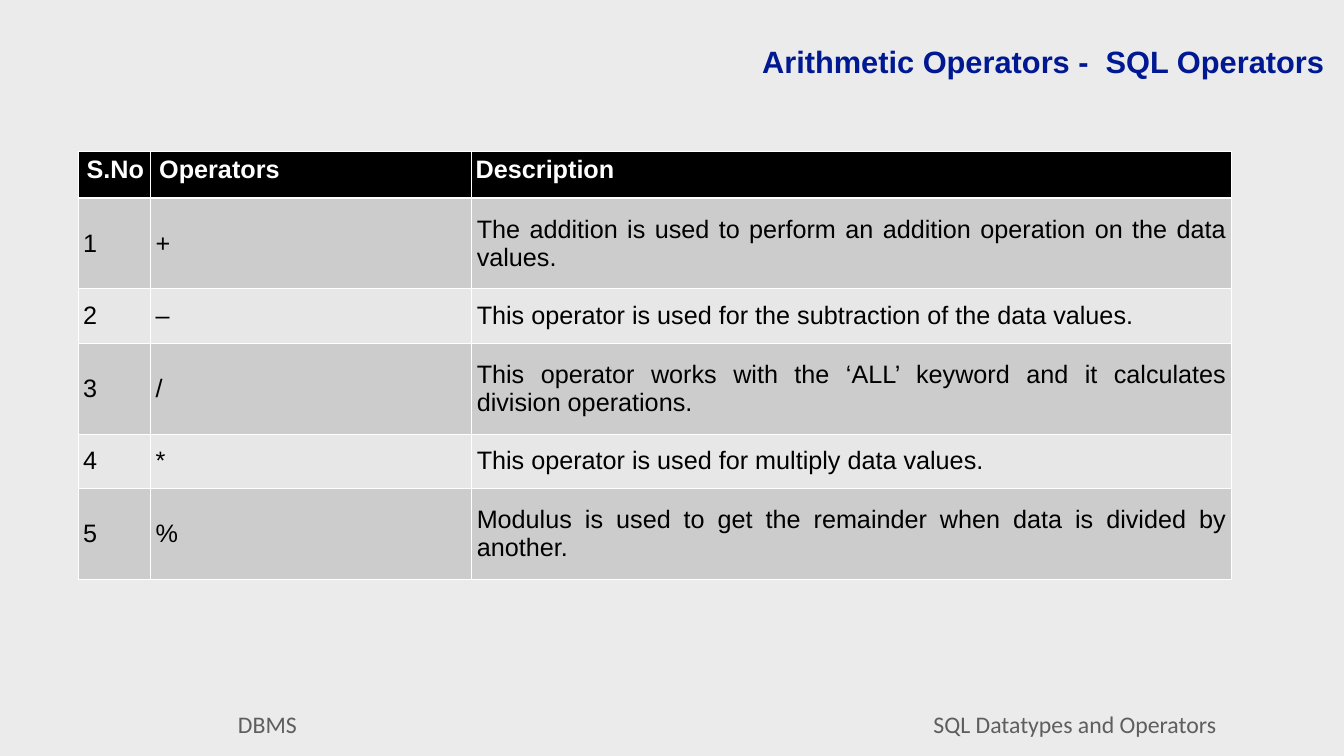
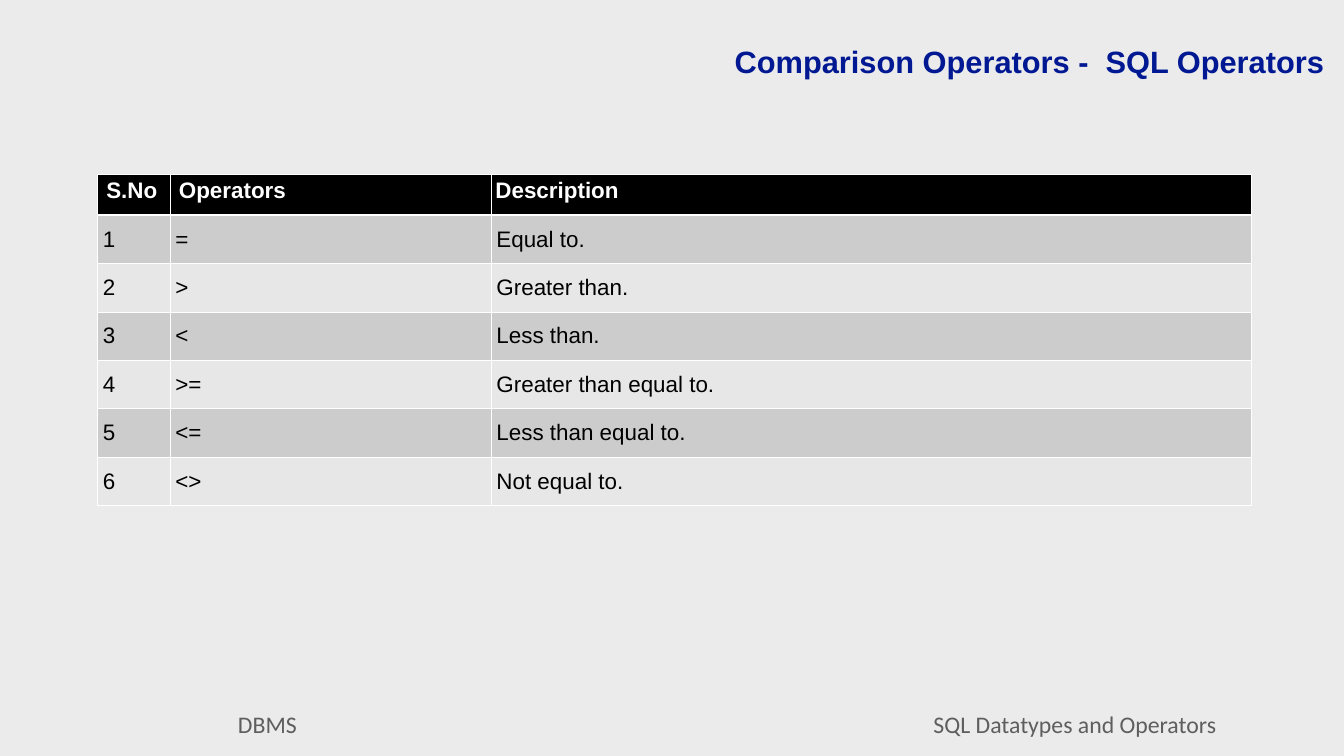
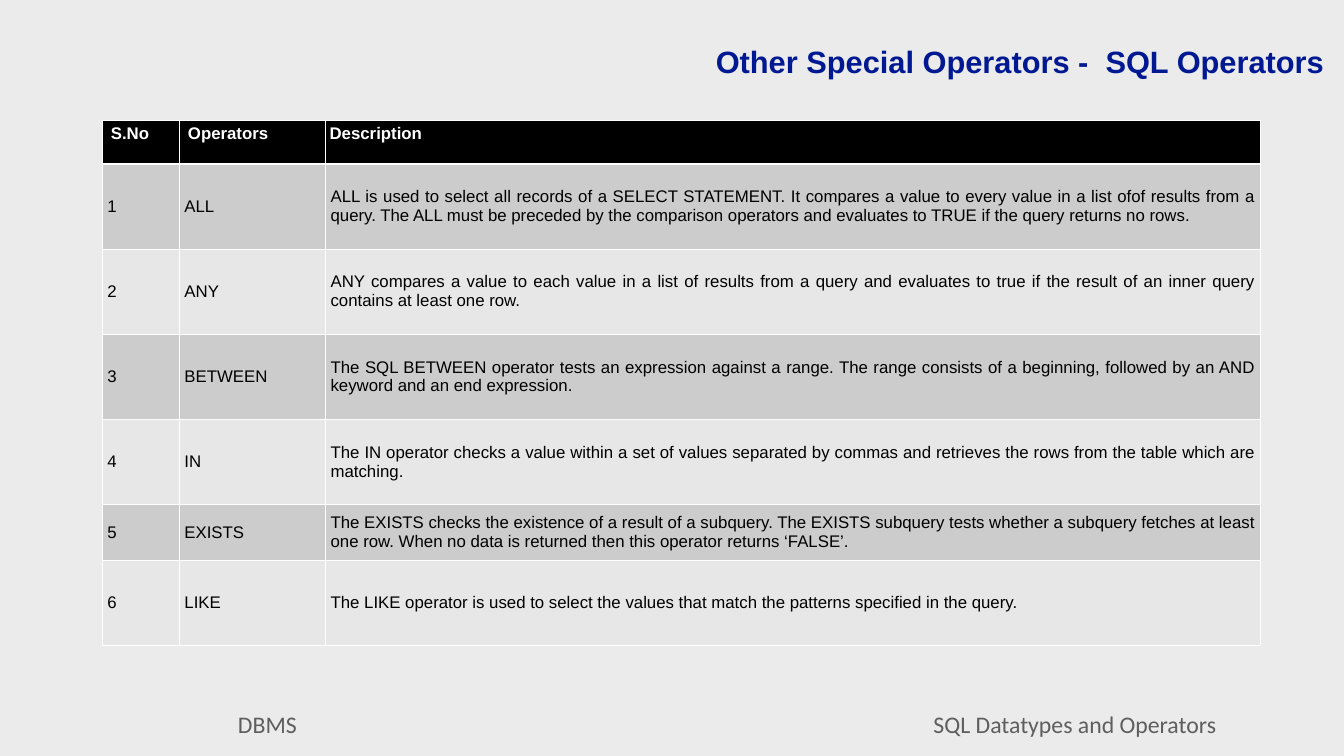
import pptx
import pptx.dml.color
import pptx.enum.shapes
import pptx.enum.text
import pptx.oxml
import pptx.oxml.ns
import pptx.util

ALIGN = pptx.enum.text.PP_ALIGN
ANCHOR = pptx.enum.text.MSO_ANCHOR
GRID_COLUMNS, GRID_ROWS = 80, 45
HEADINGS = ["S.No", "Operators", "Description"]


def color(hex_text):
    return pptx.dml.color.RGBColor.from_string(hex_text)


def apply(target, values):
    """Set every attribute named in values on target."""
    for name, value in values.items():
        setattr(target, name, value)


def add_borders(cell, widths, hex_text):
    """Draw the left, right, top and bottom border of a cell, in points."""
    properties = cell._tc.get_or_add_tcPr()
    for side, width in zip("LRTB", widths):
        properties.append(pptx.oxml.parse_xml(
            f'<a:ln{side} {pptx.oxml.ns.nsdecls("a")} w="{pptx.util.Pt(width)}">'
            f'<a:solidFill><a:srgbClr val="{hex_text}"/></a:solidFill></a:ln{side}>'))


class OperatorDeck:
    BACKGROUND, TITLE, FOOTER = "EBEBEB", "001892", "5E5E5E"
    HEADER, WHITE, BLACK = "000000", "FFFFFF", "000000"
    BANDS = ["CCCCCC", "E7E7E7"]
    THIN, THICK = 1, 3

    def __init__(self):
        self.deck = pptx.Presentation()
        apply(self.deck, {"slide_width": pptx.util.Inches(26.67),
                          "slide_height": pptx.util.Inches(15)})
        self.fill(self.deck.slide_master.background, self.BACKGROUND)
        self.page = None

    def across(self, columns):
        return round(self.deck.slide_width * columns / GRID_COLUMNS)

    def down(self, rows):
        return round(self.deck.slide_height * rows / GRID_ROWS)

    def place(self, left, top, width, height):
        return self.across(left), self.down(top), self.across(width), self.down(height)

    def fill(self, target, hex_text):
        target.fill.solid()
        target.fill.fore_color.rgb = color(hex_text)

    def margins(self, target, left, top, right, bottom):
        apply(target, {"margin_left": self.across(left), "margin_top": self.down(top),
                       "margin_right": self.across(right), "margin_bottom": self.down(bottom)})

    def add_text(self, frame, text, size, hex_text, font="Arial", bold=False, align=ALIGN.LEFT):
        para = frame.paragraphs[0]
        para.alignment = align
        span = para.add_run()
        span.text = text
        apply(span.font, {"name": font, "size": pptx.util.Pt(size), "bold": bold})
        span.font.color.rgb = color(hex_text)

    def add_page(self, title):
        self.page = self.deck.slides.add_slide(self.deck.slide_layouts[6])
        self.footer(1.26, "DBMS")
        self.title(title)
        self.footer(49.32, "SQL Datatypes and Operators")

    def title(self, text):
        box = self.page.shapes.add_textbox(*self.place(29.19, 2.34, 49.86, 2.55))
        apply(box.text_frame, {"word_wrap": True, "vertical_anchor": ANCHOR.MIDDLE})
        self.margins(box.text_frame, 0.18, 0.18, 0.18, 0.18)
        self.add_text(box.text_frame, f"{text} -  SQL Operators", 44, self.TITLE,
                      bold=True, align=ALIGN.RIGHT)

    def footer(self, left, text):
        box = self.page.shapes.add_shape(pptx.enum.shapes.MSO_SHAPE.RECTANGLE,
                                         *self.place(left, 41.91, 29.31, 2.34))
        box.shadow.inherit = False
        self.fill(box, self.BACKGROUND)
        box.line.fill.background()
        apply(box.text_frame, {"word_wrap": True, "vertical_anchor": ANCHOR.MIDDLE})
        self.margins(box.text_frame, 0, 0, 0, 0)
        self.add_text(box.text_frame, text, 34, self.FOOTER, "Calibri", align=ALIGN.CENTER)

    def table(self, left, top, widths, heights, size, operators, align=ALIGN.JUSTIFY):
        """Add a numbered table of (operator, description) pairs."""
        rows = [HEADINGS] + [[str(number), *pair] for number, pair in enumerate(operators, 1)]
        frame = self.page.shapes.add_table(
            len(rows), len(widths), *self.place(left, top, sum(widths), sum(heights)))
        grid = frame.table
        grid.horz_banding = False
        for column, width in zip(grid.columns, widths):
            column.width = self.across(width)
        for line, (texts, height) in enumerate(zip(rows, heights)):
            grid.rows[line].height = self.down(height)
            for column, text in enumerate(texts):
                cell = grid.cell(line, column)
                last = column == len(widths) - 1
                if line == 0:
                    self.header_cell(cell, text, size, 0.24 if last else 0.51)
                else:
                    self.body_cell(cell, text, size, line, align if last else ALIGN.LEFT)

    def header_cell(self, cell, text, size, indent):
        add_borders(cell, [self.THIN, self.THIN, self.THIN, self.THICK], self.WHITE)
        self.fill(cell, self.HEADER)
        self.margins(cell, indent, 0.24, 0.24, 0.24)
        cell.vertical_anchor = ANCHOR.TOP
        self.add_text(cell.text_frame, text, size, self.WHITE, bold=True)

    def body_cell(self, cell, text, size, line, align):
        above = self.THICK if line == 1 else self.THIN
        add_borders(cell, [self.THIN, self.THIN, above, self.THIN], self.WHITE)
        self.fill(cell, self.BANDS[(line - 1) % 2])
        self.margins(cell, 0.3, 0.45, 0.3, 0.45)
        cell.vertical_anchor = ANCHOR.MIDDLE
        self.add_text(cell.text_frame, text, size, self.BLACK, align=align)


ARITHMETIC = [
    ("+", "The addition is used to perform an addition operation on the data values."),
    ("–", "This operator is used for the subtraction of the data values."),
    ("/", "This operator works with the ‘ALL’ keyword and it calculates division operations."),
    ("*", "This operator is used for multiply data values."),
    ("%", "Modulus is used to get the remainder when data is divided by another."),
]
COMPARISON = [
    ("=", "Equal to."),
    (">", "Greater than."),
    ("<", "Less than."),
    (">=", "Greater than equal to."),
    ("<=", "Less than equal to."),
    ("<>", "Not equal to."),
]
SPECIAL = [
    ("ALL", "ALL is used to select all records of a SELECT STATEMENT. It compares a value to "
            "every value in a list ofof results from a query. The ALL must be preceded by the "
            "comparison operators and evaluates to TRUE if the query returns no rows."),
    ("ANY", "ANY compares a value to each value in a list of results from a query and evaluates "
            "to true if the result of an inner query contains at least one row."),
    ("BETWEEN", "The SQL BETWEEN operator tests an expression against a range. The range "
                "consists of a beginning, followed by an AND keyword and an end expression."),
    ("IN", "The IN operator checks a value within a set of values separated by commas and "
           "retrieves the rows from the table which are matching."),
    ("EXISTS", "The EXISTS checks the existence of a result of a subquery. The EXISTS subquery "
               "tests whether a subquery fetches at least one row. When no data is returned "
               "then this operator returns ‘FALSE’."),
    ("LIKE", "The LIKE operator is used to select the values that match the patterns specified "
             "in the query."),
]


def main():
    show = OperatorDeck()
    shared_widths = [4.32, 19.11, 45.21]

    show.add_page("Arithmetic Operators")
    show.table(4.65, 9, shared_widths, [2.79, 5.4, 3.24, 5.4, 3.24, 5.4], 36, ARITHMETIC)

    show.add_page("Comparison Operators")
    show.table(5.82, 10.35, shared_widths, [2.46] + [2.88] * len(COMPARISON), 32,
               COMPARISON, ALIGN.LEFT)

    show.add_page("Other Special Operators")
    show.table(6.09, 7.14, [4.59, 8.7, 55.62], [2.61] + [5.07] * 4 + [3.06, 5.07], 24, SPECIAL)

    show.deck.save("out.pptx")


if __name__ == "__main__":
    main()
